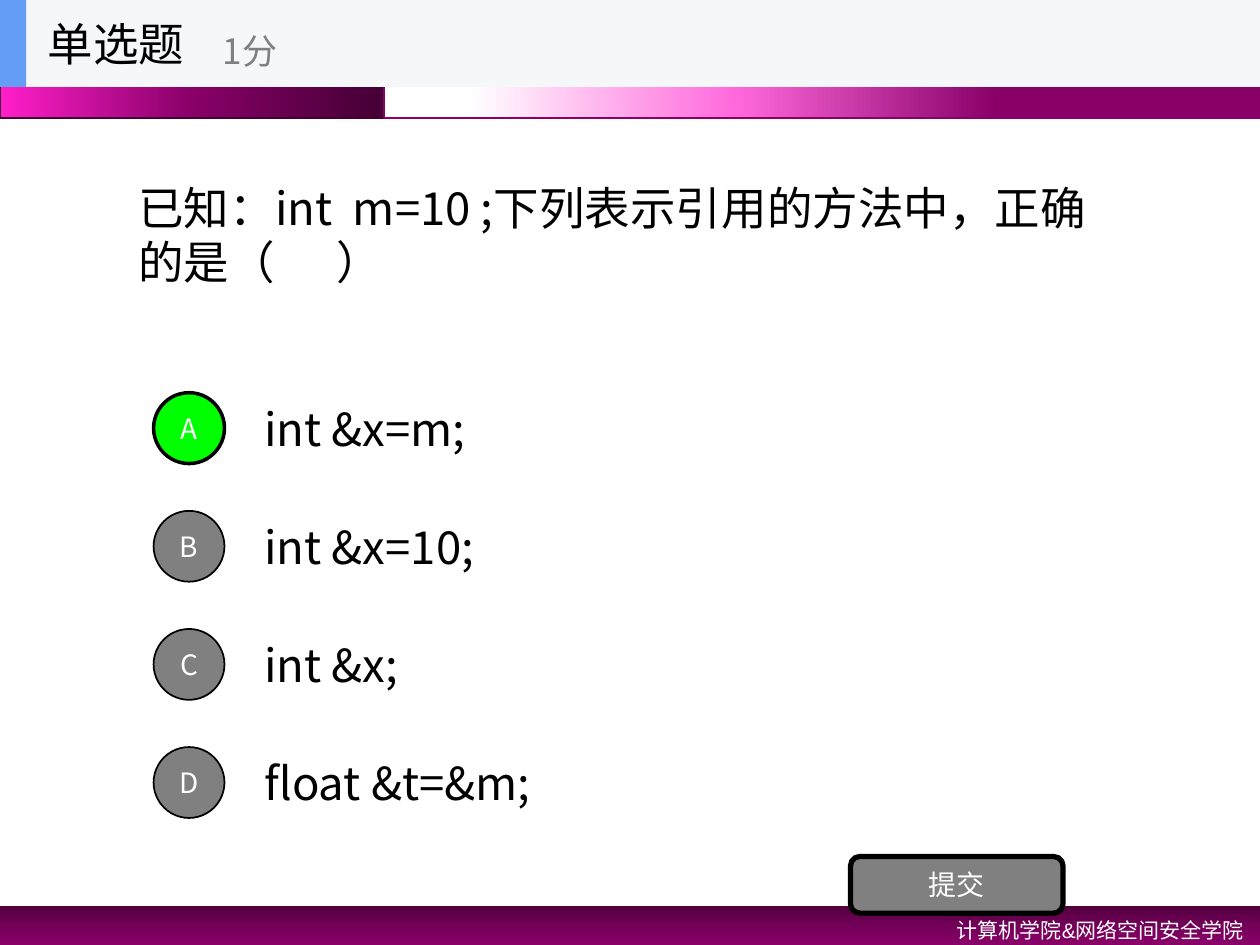
from copy import deepcopy

from lxml import etree
from pptx import Presentation
from pptx.dml.color import RGBColor
from pptx.enum.shapes import MSO_SHAPE
from pptx.enum.text import MSO_ANCHOR, MSO_AUTO_SIZE, PP_ALIGN
from pptx.oxml.ns import qn
from pptx.util import Pt

RECTANGLE, OVAL = MSO_SHAPE.RECTANGLE, MSO_SHAPE.OVAL
ROUNDED = MSO_SHAPE.ROUNDED_RECTANGLE
LEFT, CENTER, RIGHT = PP_ALIGN.LEFT, PP_ALIGN.CENTER, PP_ALIGN.RIGHT
TOP, MIDDLE = MSO_ANCHOR.TOP, MSO_ANCHOR.MIDDLE
CJK_FONT = "Noto Sans CJK SC"
BLACK, WHITE, GRAY = "000000", "FFFFFF", "808080"


def add_panel(shapes, kind, box, fill, line=None, line_width=1, angle=0):
    """Add a shape; fill is a hex colour or a list of (position, colour) stops."""
    shape = shapes.add_shape(kind, *map(Pt, box))
    shape.shadow.inherit = False
    if isinstance(fill, str):
        shape.fill.solid()
        shape.fill.fore_color.rgb = RGBColor.from_string(fill)
    else:
        shape.fill.gradient()
        shape.fill.gradient_angle = angle
        stop_list = shape.element.spPr.find(".//" + qn("a:gsLst"))
        stop_list.append(deepcopy(stop_list[-1]))
        for stop, (position, color) in zip(shape.fill.gradient_stops, fill):
            stop.position = position
            stop.color.rgb = RGBColor.from_string(color)
    if line:
        shape.line.color.rgb = RGBColor.from_string(line)
        shape.line.width = Pt(line_width)
    else:
        shape.line.fill.background()
    return shape


def write_text(shape, text, size, color, align=LEFT, anchor=MIDDLE, font_name=CJK_FONT):
    text_frame = shape.text_frame
    text_frame.word_wrap = True
    text_frame.vertical_anchor = anchor
    text_frame.text = text
    paragraph = text_frame.paragraphs[0]
    paragraph.alignment = align
    font = paragraph.runs[0].font
    font.size = Pt(size)
    font.color.rgb = RGBColor.from_string(color)
    font.name = font_name
    east_asian = etree.SubElement(paragraph.runs[0]._r.rPr, qn("a:ea"))
    east_asian.set("typeface", font_name)


presentation = Presentation()
presentation.slide_width = Pt(720)
presentation.slide_height = Pt(540)
slide = presentation.slides.add_slide(presentation.slide_layouts[6])
shapes = slide.shapes

# Footer and header bands
add_panel(shapes, RECTANGLE, (0, 517.7, 720, 22.3),
          [(0, "51003E"), (0.5, "730058"), (1, "880068")], angle=270)
add_panel(shapes, RECTANGLE, (0, 0, 219.6, 67.7),
          [(0, "440034"), (0.5, "880068"), (1, "FF1FCA")], "440034", angle=180)
add_panel(shapes, RECTANGLE, (219.6, 0, 500.4, 67.7),
          [(0.3, "880068"), (0.6, "FF69DC"), (0.9, WHITE)], "880068", angle=180)
footer = shapes.add_textbox(Pt(462.2), Pt(517.7), Pt(255.6), Pt(23))
write_text(footer, "计算机学院&网络空间安全学院", 12, WHITE, RIGHT, TOP, "Arial")
footer.text_frame.auto_size = MSO_AUTO_SIZE.SHAPE_TO_FIT_TEXT
footer.text_frame.paragraphs[0].line_spacing = 1.2

# Question
question = shapes.add_textbox(Pt(72), Pt(49.7), Pt(576), Pt(168.5))
write_text(question, "已知：int  m=10 ;下列表示引用的方法中，正确的是（      ）", 26, BLACK)

# Answer options, the correct one highlighted
options = ["int &x=m;", "int &x=10;", "int &x;", "float &t=&m;"]
correct = "A"
for index, (letter, option) in enumerate(zip("ABCD", options)):
    top = 219.4 + 67.5 * index
    answer = shapes.add_textbox(Pt(144), Pt(top), Pt(504), Pt(50.6))
    write_text(answer, option, 26, BLACK)
    fill, line_width = ("00FF00", 2) if letter == correct else (GRAY, 1)
    badge = add_panel(shapes, OVAL, (87.75, top + 5, 40.5, 40.5), fill, BLACK, line_width)
    badge.text_frame.margin_left = badge.text_frame.margin_right = 0
    write_text(badge, letter, 16, WHITE, CENTER)

submit = add_panel(shapes, ROUNDED, (486, 489.4, 121.5, 32.4), GRAY, BLACK, 3)
write_text(submit, "提交", 16, WHITE, CENTER)

# Title bar
title_bar = shapes.add_group_shape().shapes
add_panel(title_bar, RECTANGLE, (0, 0, 720, 49.7), "F6F7F8")
add_panel(title_bar, RECTANGLE, (0, 0, 15, 49.7), "639EF4")
title = title_bar.add_textbox(Pt(20.2), Pt(0), Pt(149.8), Pt(49.7))
write_text(title, "单选题", 26, BLACK)
score = title_bar.add_textbox(Pt(120.2), Pt(8.6), Pt(180), Pt(40.3))
write_text(score, "1分", 20, GRAY)

presentation.save("out.pptx")
